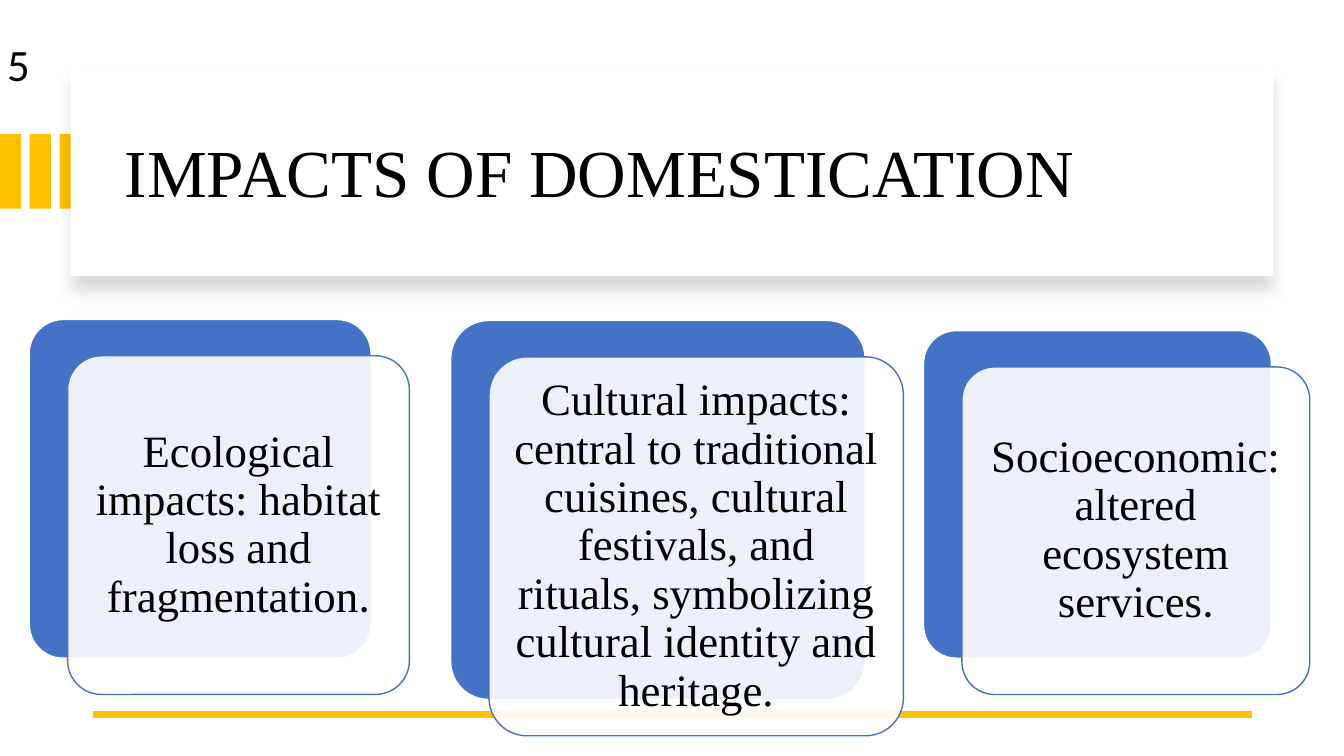
import pptx
import pptx.util
import pptx.oxml
import pptx.oxml.ns
import pptx.dml.color
import pptx.enum.shapes
import pptx.enum.text

Inches = pptx.util.Inches
Pt = pptx.util.Pt
KIND = pptx.enum.shapes.MSO_SHAPE
ALIGN = pptx.enum.text.PP_ALIGN
ANCHOR = pptx.enum.text.MSO_ANCHOR

COLORS = {"gold": "FFC000", "blue": "4472C4", "white": "FFFFFF", "black": "000000"}
SERIF, SANS = "Times New Roman", "Calibri"


def put(target, values):
    """Set each attribute named in values on target."""
    for name, value in values.items():
        setattr(target, name, value)


def node(parent, tag, **attrs):
    """Append a drawing element to parent and return it."""
    child = pptx.oxml.parse_xml(f"<{tag} {pptx.oxml.ns.nsdecls('a')}/>")
    for name, value in attrs.items():
        child.set(name, str(value))
    parent.append(child)
    return child


class Deck:
    """Holds the colours and the slide being drawn."""

    def __init__(self, slide, colors):
        self.slide = slide
        self.colors = {k: pptx.dml.color.RGBColor.from_string(v) for k, v in colors.items()}

    def shape(self, kind, box, fill, line=None, alpha=None):
        item = self.slide.shapes.add_shape(kind, *map(Inches, box))
        item.shadow.inherit = False
        item.fill.solid()
        item.fill.fore_color.rgb = self.colors[fill]
        if alpha:
            tint = item.fill._xPr.find(".//" + pptx.oxml.ns.qn("a:srgbClr"))
            node(tint, "a:alpha", val=alpha * 1000)
        if line:
            item.line.color.rgb = self.colors[line]
            item.line.width = Pt(1)
        else:
            item.line.fill.background()
        return item

    def shade(self, item):
        """Give a shape a soft shadow straight below it."""
        effects = item._element.spPr.find(pptx.oxml.ns.qn("a:effectLst"))
        outer = node(effects, "a:outerShdw", blurRad=Pt(11), dist=Pt(10),
                     dir=90 * 60000, algn="t", rotWithShape=0)
        tint = node(outer, "a:srgbClr", val=COLORS["black"])
        node(tint, "a:alpha", val=15000)

    def rule(self, start, end, color, width):
        line = self.slide.shapes.add_connector(
            pptx.enum.shapes.MSO_CONNECTOR.STRAIGHT, *map(Inches, start + end))
        line.line.color.rgb = self.colors[color]
        line.line.width = Pt(width)
        node(line._element.spPr, "a:effectLst")

    def text(self, box, runs, size, frame, para):
        """Draw one paragraph made of (words, font) runs."""
        body = self.slide.shapes.add_textbox(*map(Inches, box)).text_frame
        put(body, {"word_wrap": True, **frame})
        line = body.paragraphs[0]
        put(line, para)
        for words, font in runs:
            run = line.add_run()
            run.text = words
            put(run.font, {"name": font, "size": Pt(size)})
            run.font.color.rgb = self.colors["black"]

    def card(self, box, runs):
        """Draw a blue card, a pale card offset over it, and its text."""
        left, top, wide, high = box
        front = (left + 0.38, top + 0.36, wide, high)
        for place, fill, line, alpha in ((box, "blue", "white", None),
                                         (front, "white", "blue", 90)):
            self.shape(KIND.ROUNDED_RECTANGLE, place, fill, line, alpha).adjustments[0] = 0.1
        gap = 0.03 * min(wide, high)
        inner = (front[0] + gap, front[1] + gap, wide - 2 * gap, high - 2 * gap)
        sides = ("left", "top", "right", "bottom")
        frame = {f"margin_{side}": Inches(0.13) for side in sides}
        self.text(inner, runs, 32, {"vertical_anchor": ANCHOR.MIDDLE, **frame},
                  {"alignment": ALIGN.CENTER, "line_spacing": 0.9, "space_after": Pt(11)})


CARDS = [
    ((0.29, 3.17, 3.39, 3.36),
     [("Ecological impacts: habitat loss and fragmentation", SERIF), (".", SANS)]),
    ((4.47, 3.18, 4.11, 3.76),
     [("Cultural impacts: central to traditional cuisines, cultural festivals, "
       "and rituals, symbolizing cultural identity and heritage.", SERIF)]),
    ((9.16, 3.28, 3.45, 3.25),
     [("Socioeconomic: altered ecosystem services", SERIF), (".", SANS)]),
]


def main():
    show = pptx.Presentation()
    put(show, {"slide_width": Inches(13.33), "slide_height": Inches(7.5)})
    deck = Deck(show.slides.add_slide(show.slide_layouts[6]), COLORS)

    for i in range(3):
        deck.shape(KIND.RECTANGLE, (i * 0.59 / 2, 1.33, 0.21, 0.74), "gold")
    deck.shade(deck.shape(KIND.RECTANGLE, (0.7, 0.67, 11.93, 2.07), "white"))
    deck.text((1.14, 0.89, 11.13, 1.7), [("IMPACTS OF DOMESTICATION", SERIF)], 48,
              {"vertical_anchor": ANCHOR.MIDDLE}, {"line_spacing": 0.9})
    deck.rule((12.42, 7.09), (0.92, 7.09), "gold", 4.5)

    for box, runs in CARDS:
        deck.card(box, runs)
    deck.text((0.07, 0.32, 0.05, 0.94), [("5", SANS)], 32,
              {"margin_left": 0, "margin_right": 0}, {"alignment": ALIGN.LEFT})
    show.save("out.pptx")


if __name__ == "__main__":
    main()
